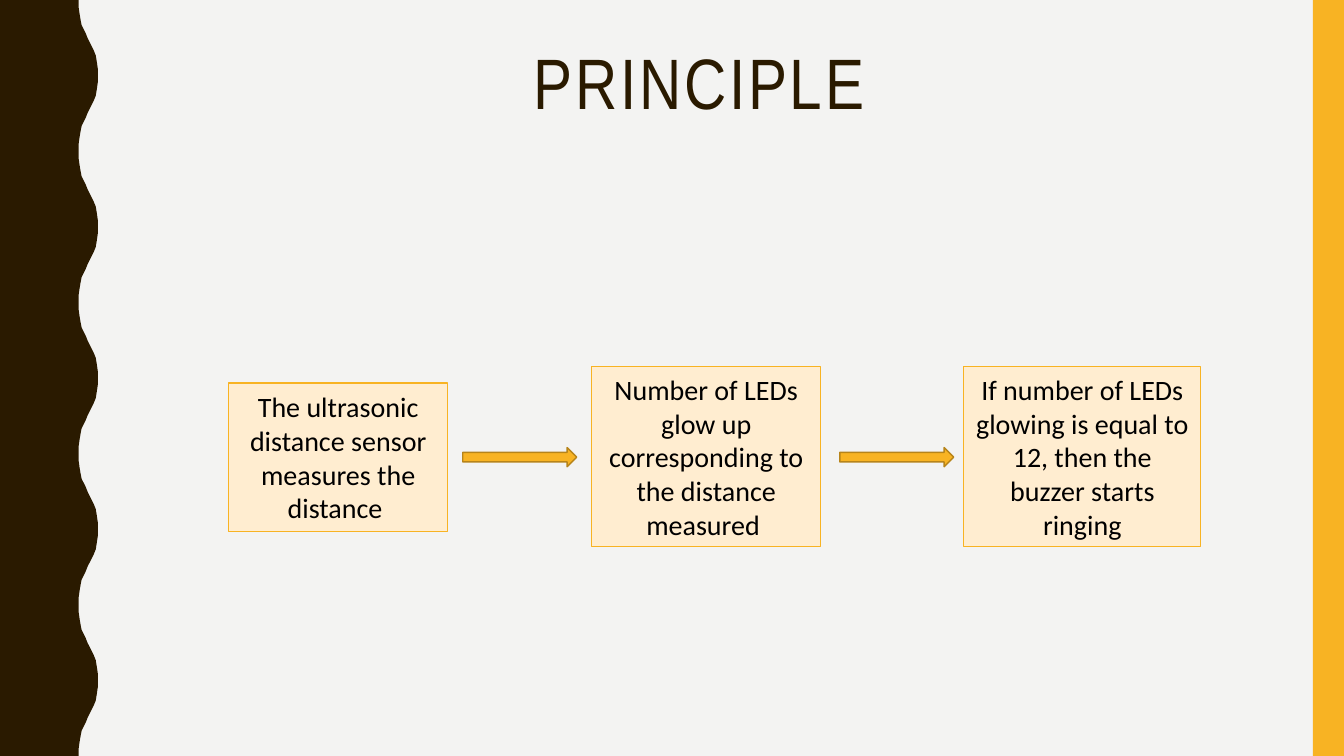
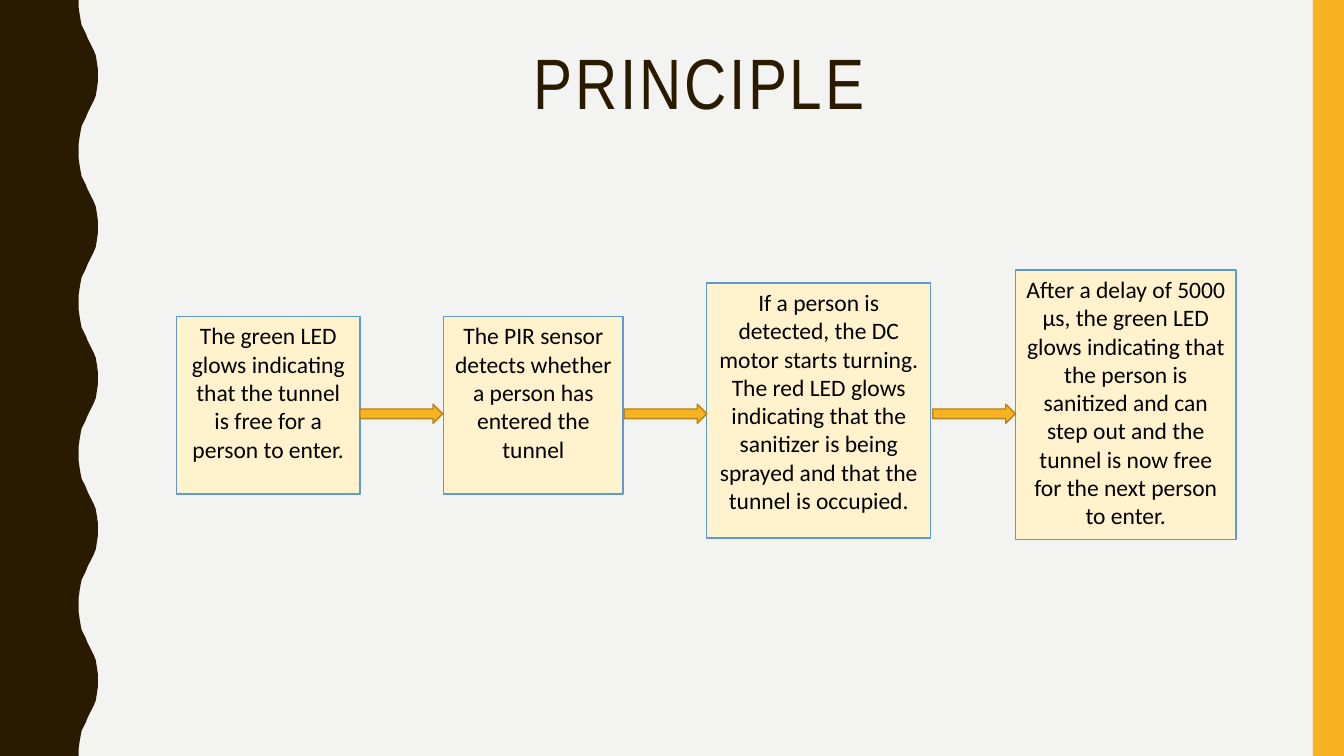
import pptx
import pptx.dml.color
import pptx.enum.shapes
import pptx.enum.text
import pptx.util

RGB = pptx.dml.color.RGBColor
SHAPE = pptx.enum.shapes.MSO_SHAPE
ANCHOR = pptx.enum.text.MSO_ANCHOR
CENTER = pptx.enum.text.PP_ALIGN.CENTER

EMU_PER_PX = 9144
WIDTH, HEIGHT = 1333, 750

BROWN = RGB(0x2A, 0x1A, 0x00)
AMBER = RGB(0xF8, 0xB3, 0x23)
DARK_AMBER = RGB(0xB7, 0x84, 0x1A)
PAPER = RGB(0xF3, 0xF3, 0xF2)
PEACH = RGB(0xFF, 0xED, 0xD0)
CREAM = RGB(0xFF, 0xF2, 0xCC)
BLUE = RGB(0x5B, 0x9B, 0xD5)
BLACK = RGB(0x00, 0x00, 0x00)

TITLE_FONT = "Arial Narrow"
BODY_FONT = "Calibri"

WAVE_PERIOD = 150
HALF_WAVE = [(78, 0), (78, 7), (79, 14), (80, 20), (81, 25), (83, 29), (85, 33), (87, 38),
             (89, 42), (91, 46), (93, 50), (95, 55), (96, 61), (97, 68), (97, 75)]

SENSOR_STEPS = [
    ((227, 380, 217, 147), "The ultrasonic distance sensor measures the distance "),
    ((587, 364, 227, 178), "Number of LEDs glow up corresponding to the distance measured "),
    ((956, 364, 235, 178),
     "If number of LEDs glowing is equal to 12, then the buzzer starts ringing"),
]
TUNNEL_STEPS = [
    ((175, 314, 182, 176),
     "The green LED glows indicating that the tunnel is free for a person to enter."),
    ((440, 314, 178, 176), "The PIR sensor detects whether a person has entered the tunnel"),
    ((701, 281, 222, 253),
     "If a person is detected, the DC motor starts turning. The red LED glows indicating "
     "that the sanitizer is being sprayed and that the tunnel is occupied."),
    ((1007, 268, 219, 267),
     "After a delay of 5000 µs, the green LED glows indicating that the person is sanitized "
     "and can step out and the tunnel is now free for the next person to enter."),
]


def px(n):
    return pptx.util.Emu(n * EMU_PER_PX)


def paint(sp, fill, line=None, line_width=1):
    sp.shadow.inherit = False
    sp.fill.solid()
    sp.fill.fore_color.rgb = fill
    if line is None:
        sp.line.fill.background()
    else:
        sp.line.color.rgb = line
        sp.line.width = pptx.util.Pt(line_width)


def set_font(p, name, size, color):
    p.alignment = CENTER
    p.font.name = name
    p.font.size = pptx.util.Pt(size)
    p.font.color.rgb = color


def add_preset(s, kind, box):
    return s.shapes.add_shape(kind, *map(px, box))


def add_wave(s):
    mirrored = [(x, WAVE_PERIOD - y) for x, y in reversed(HALF_WAVE[:-1])]
    edge = [(x, y + top) for top in range(0, HEIGHT, WAVE_PERIOD)
            for x, y in HALF_WAVE + mirrored]
    builder = s.shapes.build_freeform(0, 0, scale=EMU_PER_PX)
    builder.add_line_segments(edge + [(0, HEIGHT)], close=True)
    return builder.convert_to_shape()


def decorate_master(prs, s):
    master = prs.slide_master
    master.background.fill.solid()
    master.background.fill.fore_color.rgb = PAPER
    wave = add_wave(s)
    paint(wave, BROWN)
    bar = add_preset(s, SHAPE.RECTANGLE, (1302, 0, 31, HEIGHT))
    paint(bar, AMBER)
    for sp in (bar, wave):
        master.shapes.element.insert(2, sp.element)


def add_title(s, text):
    sp = s.shapes.title
    sp.left, sp.top, sp.width, sp.height = map(px, (137, 42, 1113, 163))
    tf = sp.text_frame
    tf.text = text
    tf.vertical_anchor = ANCHOR.TOP
    tf.auto_size = pptx.enum.text.MSO_AUTO_SIZE.NONE
    p = tf.paragraphs[0]
    p.line_spacing = 0.9
    set_font(p, TITLE_FONT, 51, BROWN)
    p.runs[0]._r.get_or_add_rPr().set("spc", "200")


def add_step(s, box, text, size, fill, line, line_width, anchor):
    sp = add_preset(s, SHAPE.RECTANGLE, box)
    paint(sp, fill, line, line_width)
    tf = sp.text_frame
    tf.word_wrap = True
    tf.vertical_anchor = anchor
    tf.text = text
    set_font(tf.paragraphs[0], BODY_FONT, size, BLACK)


def add_arrow(s, left, top, width):
    sp = add_preset(s, SHAPE.RIGHT_ARROW, (left, top, width, 19))
    paint(sp, AMBER, DARK_AMBER)


def add_flow(s, steps, step_style, arrow_lefts, arrow_top, arrow_width):
    add_title(s, "PRINCIPLE")
    for box, text in steps:
        add_step(s, box, text, **step_style)
    for left in arrow_lefts:
        add_arrow(s, left, arrow_top, arrow_width)


def main():
    prs = pptx.Presentation()
    prs.slide_width, prs.slide_height = px(WIDTH), px(HEIGHT)
    title_only = prs.slide_layouts[5]

    s = prs.slides.add_slide(title_only)
    decorate_master(prs, s)
    sensor_style = dict(size=20, fill=PEACH, line=AMBER, line_width=0.75, anchor=ANCHOR.MIDDLE)
    add_flow(s, SENSOR_STEPS, sensor_style, (459, 833), 444, 113)

    s = prs.slides.add_slide(title_only)
    tunnel_style = dict(size=16.8, fill=CREAM, line=BLUE, line_width=1, anchor=ANCHOR.TOP)
    add_flow(s, TUNNEL_STEPS, tunnel_style, (357, 619, 925), 401, 82)

    prs.save("out.pptx")


if __name__ == "__main__":
    main()
